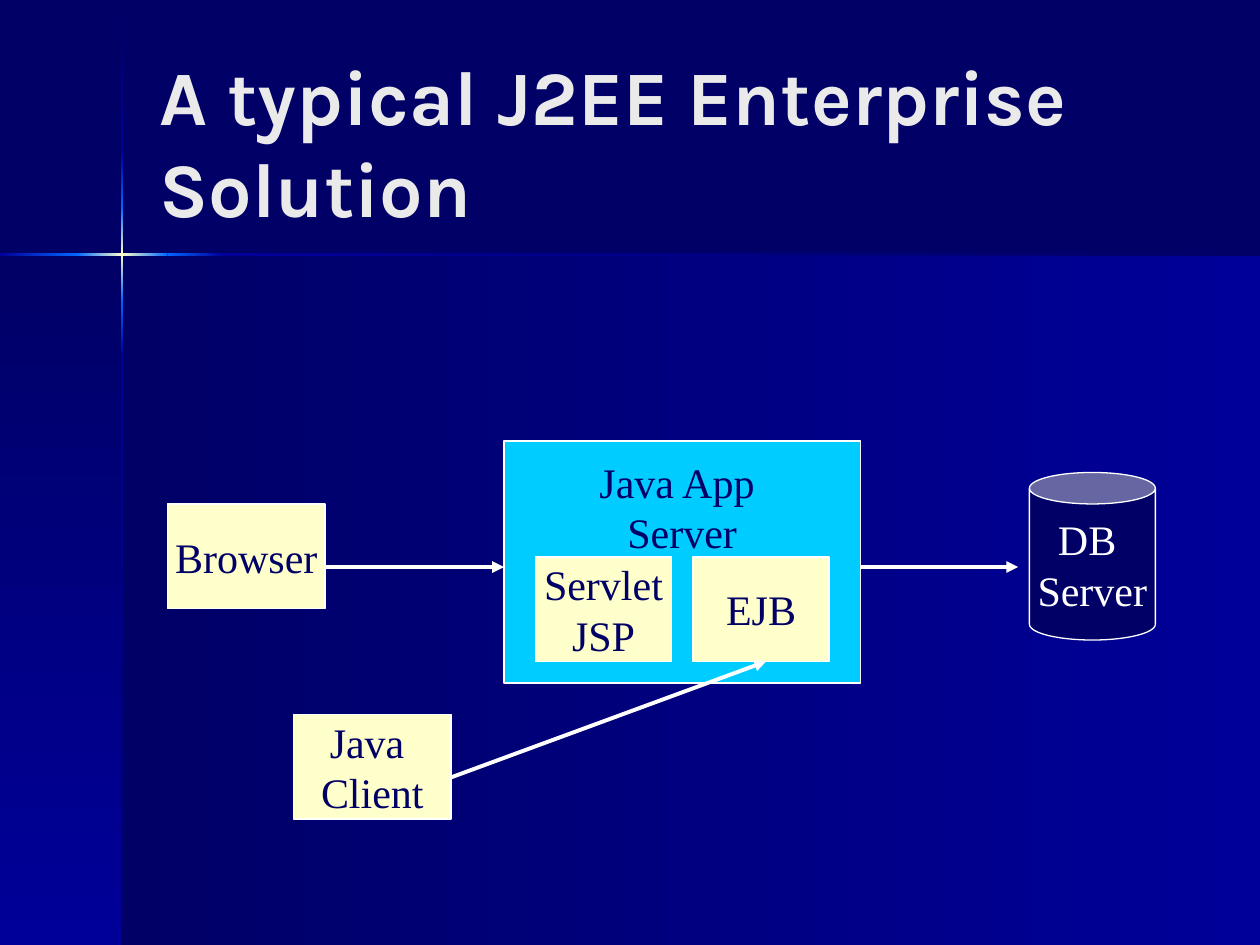
import copy

import pptx
import pptx.dml.color
import pptx.enum.shapes
import pptx.enum.text
import pptx.oxml.xmlchemy
import pptx.util

Inches = pptx.util.Inches
Pt = pptx.util.Pt
SHAPE = pptx.enum.shapes.MSO_SHAPE
ANCHOR = pptx.enum.text.MSO_ANCHOR
ALIGN = pptx.enum.text.PP_ALIGN

NAVY, BLUE, GLOW = "000066", "000099", "0066FF"
CREAM, CYAN, WHITE = "FFFFCC", "00CCFF", "FFFFFF"
SERIF = "Times New Roman"


def rgb(code):
    return pptx.dml.color.RGBColor.from_string(code)


def style(frame, font, size, color, bold=False):
    for para in frame.paragraphs:
        for run in para.runs:
            run.font.name = font
            run.font.size = Pt(size)
            run.font.bold = bold
            run.font.color.rgb = rgb(color)


def add_fade(slide, left, top, width, height, colors, down):
    """Add a borderless strip that fades through evenly spaced colours."""
    strip = slide.shapes.add_shape(
        SHAPE.RECTANGLE, Inches(left), Inches(top), Inches(width), Inches(height))
    strip.shadow.inherit = False
    strip.line.fill.background()
    strip.fill.gradient()
    strip.fill.gradient_angle = 270 if down else 0
    stops = strip.fill._fill._gradFill.gsLst
    while len(stops) < len(colors):
        stops.append(copy.deepcopy(stops[-1]))
    for i, (stop, color) in enumerate(zip(strip.fill.gradient_stops, colors)):
        stop.color.rgb = rgb(color)
        stop.position = i / (len(colors) - 1)


def add_beam(slide, mid, edges, down):
    """Add a thin light ray, brightest in its middle strip."""
    fades = [(NAVY, BLUE), (BLUE, GLOW), (GLOW, CREAM, GLOW),
             (GLOW, BLUE), (BLUE, NAVY)]
    if not down:
        fades = fades[1:]
    for start, end, colors in zip(edges, edges[1:], fades):
        if down:
            add_fade(slide, mid - 0.01, start, 0.02, end - start, colors, down)
        else:
            add_fade(slide, start, mid - 0.01, end - start, 0.02, colors, down)


def add_title(slide, text):
    box = slide.shapes.add_textbox(
        Inches(1.17), Inches(0.33), Inches(8.25), Inches(1.57))
    frame = box.text_frame
    frame.word_wrap = True
    frame.vertical_anchor = ANCHOR.MIDDLE
    frame.text = text
    style(frame, "Karla", 44, "EAEAEA", True)


def add_node(slide, text, left, top, width, height,
             fill=CREAM, color=NAVY, kind=SHAPE.RECTANGLE):
    node = slide.shapes.add_shape(
        kind, Inches(left), Inches(top), Inches(width), Inches(height))
    node.shadow.inherit = False
    node.fill.solid()
    node.fill.fore_color.rgb = rgb(fill)
    node.line.color.rgb = rgb(WHITE)
    node.line.width = Pt(0.75)
    frame = node.text_frame
    frame.word_wrap = False
    frame.vertical_anchor = ANCHOR.MIDDLE
    frame.text = text
    for para in frame.paragraphs:
        para.alignment = ALIGN.CENTER
    style(frame, SERIF, 24, color)
    return node


def add_arrow(slide, x1, y1, x2, y2):
    arrow = slide.shapes.add_connector(
        pptx.enum.shapes.MSO_CONNECTOR.STRAIGHT,
        Inches(x1), Inches(y1), Inches(x2), Inches(y2))
    arrow.line.color.rgb = rgb(WHITE)
    arrow.line.width = Pt(2.25)
    make = pptx.oxml.xmlchemy.OxmlElement
    head = make("a:tailEnd")
    head.set("type", "triangle")
    arrow.line._get_or_add_ln().append(head)
    arrow._element.spPr.append(make("a:effectLst"))


def add_backdrop(slide):
    slide.background.fill.solid()
    slide.background.fill.fore_color.rgb = rgb(NAVY)
    add_fade(slide, 0.97, 2.02, 9.03, 5.48, (NAVY, BLUE), False)
    add_fade(slide, 0, 2.02, 0.97, 5.48, (NAVY, BLUE), True)
    add_beam(slide, 0.97, (0.01, 1.21, 1.65, 2.38, 2.82, 7.5), True)
    add_beam(slide, 2.02, (0, 0.61, 1.33, 1.77, 10), False)


def main():
    deck = pptx.Presentation()
    deck.slide_width, deck.slide_height = Inches(10), Inches(7.5)
    slide = deck.slides.add_slide(deck.slide_layouts[6])
    add_backdrop(slide)
    add_title(slide, "A typical J2EE Enterprise Solution")

    add_node(slide, "DB \nServer", 8.17, 3.75, 1, 1.33, NAVY, WHITE, SHAPE.CAN)
    server = add_node(slide, "Java App \nServer", 4, 3.5, 2.83, 1.92, CYAN)
    server.text_frame.vertical_anchor = ANCHOR.TOP
    server.text_frame.margin_top = Inches(0.12)
    add_node(slide, "EJB", 5.5, 4.42, 1.08, 0.83)
    add_node(slide, "Servlet\nJSP", 4.25, 4.42, 1.08, 0.83)
    add_node(slide, "Java \nClient", 2.33, 5.67, 1.25, 0.83)
    add_node(slide, "Browser", 1.33, 4, 1.25, 0.83)

    add_arrow(slide, 2.58, 4.5, 4, 4.5)
    add_arrow(slide, 6.83, 4.5, 8.08, 4.5)
    add_arrow(slide, 3.58, 6.17, 6.08, 5.25)
    deck.save("out.pptx")


if __name__ == "__main__":
    main()
